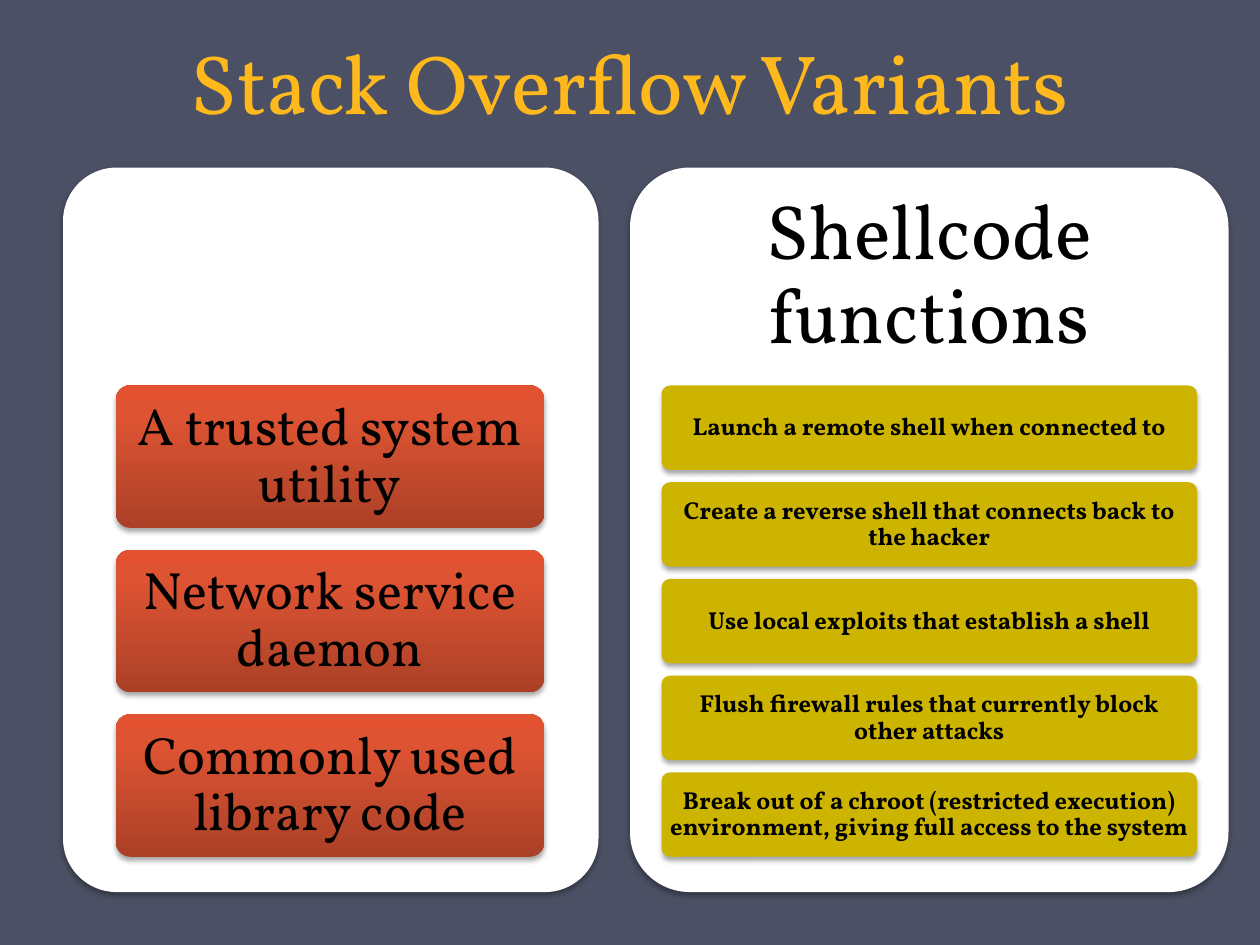
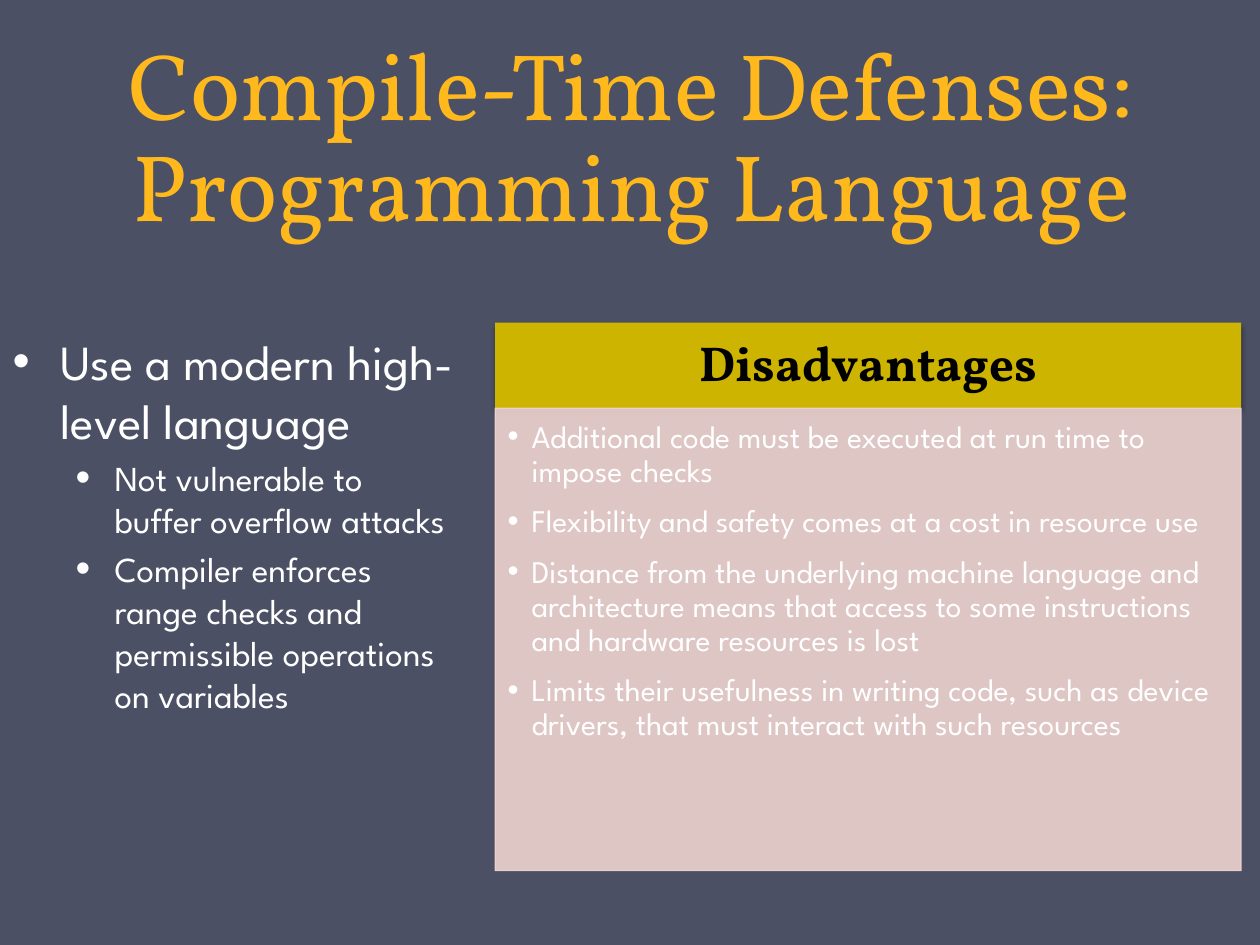
from copy import deepcopy

from lxml import etree
from pptx import Presentation
from pptx.dml.color import RGBColor
from pptx.enum.shapes import MSO_SHAPE as SHAPE
from pptx.enum.text import MSO_ANCHOR as ANCHOR, MSO_AUTO_SIZE as AUTO, PP_ALIGN as ALIGN
from pptx.oxml.ns import qn
from pptx.util import Inches, Pt

COLORS = {
    "background": "4B5064",
    "title": "FFB91D",
    "panel": "FFFFFF",
    "dark": "000000",
    "light": "FFFFFF",
    "olive": "CCB400",
    "pink": "EED3D0",
}
BRICK_STOPS = [(0, "AB4027"), (0.8, "DE5433"), (1, "E35230")]
SERIF, SANS = "Vollkorn", "League Spartan"
STACK_TOP, STACK_BOTTOM = 3.06, 6.8

TARGETS = ["A trusted system utility", "Network service daemon", "Commonly used library code"]
SHELLCODE_FUNCTIONS = [
    "Launch a remote shell when connected to",
    "Create a reverse shell that connects back to the hacker",
    "Use local exploits that establish a shell",
    "Flush firewall rules that currently block other attacks",
    "Break out of a chroot (restricted execution) environment, "
    "giving full access to the system",
]
LANGUAGE_POINTS = [
    (0, "Use a modern high-level language"),
    (1, "Not vulnerable to buffer overflow attacks"),
    (1, "Compiler enforces range checks and permissible operations on variables"),
]
DISADVANTAGES = [
    "Additional code must be executed at run time to impose checks",
    "Flexibility and safety comes at a cost in resource use",
    "Distance from the underlying machine language and architecture means that access "
    "to some instructions and hardware resources is lost",
    "Limits their usefulness in writing code, such as device drivers, "
    "that must interact with such resources",
]


def rgb(name):
    return RGBColor.from_string(COLORS[name])


def add_xml(parent, tag, **attrs):
    return etree.SubElement(parent, qn(tag), {k: str(v) for k, v in attrs.items()})


def place(s, box):
    for name, value in zip(("left", "top", "width", "height"), box):
        setattr(s, name, Inches(value))


def set_frame(s, anchor, insets=None):
    """Wrap the text, anchor it and set its left, top, right and bottom insets."""
    tf = s.text_frame
    tf.word_wrap = True
    tf.auto_size = AUTO.NONE
    tf.vertical_anchor = anchor
    for side, value in zip(("left", "top", "right", "bottom"), insets or ()):
        setattr(tf, f"margin_{side}", Inches(value))
    return tf


def write(p, text, size, font, color, bold=False, **layout):
    p.text = text
    for name, value in layout.items():
        setattr(p, name, value)
    for r in p.runs:
        for name, value in {"size": Pt(size), "name": font, "bold": bold}.items():
            setattr(r.font, name, value)
        r.font.color.rgb = rgb(color)


def add_bullet(p, margin, hang, percent=100):
    pPr = p._p.get_or_add_pPr()
    pPr.set("marL", str(Inches(margin)))
    pPr.set("indent", str(-Inches(hang)))
    add_xml(pPr, "a:buSzPct", val=percent * 1000)
    add_xml(pPr, "a:buFont", typeface="Arial")
    add_xml(pPr, "a:buChar", char="•")


def set_title(slide, text, size, box):
    title = slide.shapes.title
    place(title, box)
    tf = set_frame(title, ANCHOR.BOTTOM)
    write(tf.paragraphs[0], text, size, SERIF, "title",
          alignment=ALIGN.CENTER, line_spacing=Pt(58))


def add_shadow(s):
    effects = s._element.spPr.find(qn("a:effectLst"))
    outer = add_xml(effects, "a:outerShdw", blurRad=Pt(3.1), dist=Pt(1.8),
                    dir=90 * 60000, rotWithShape=0)
    add_xml(add_xml(outer, "a:srgbClr", val="000000"), "a:alpha", val=35000)


def add_box(slide, kind, box, color, shadow=True):
    s = slide.shapes.add_shape(kind, *map(Inches, box))
    s.shadow.inherit = False
    s.line.fill.background()
    s.fill.solid()
    s.fill.fore_color.rgb = rgb(color)
    if kind == SHAPE.ROUNDED_RECTANGLE:
        s.adjustments[0] = 0.1
    if shadow:
        add_shadow(s)
    return s


def shade_brick(s):
    s.fill.gradient()
    s.fill.gradient_angle = 90
    stops = s._element.spPr.find(qn("a:gradFill")).find(qn("a:gsLst"))
    stops.append(deepcopy(stops[-1]))
    for stop, (position, color) in zip(s.fill.gradient_stops, BRICK_STOPS):
        stop.position = position
        stop.color.rgb = RGBColor.from_string(color)


def write_centered(s, text, size, insets, bold=False):
    tf = set_frame(s, ANCHOR.MIDDLE, insets)
    write(tf.paragraphs[0], text, size, SERIF, "dark", bold,
          alignment=ALIGN.CENTER, line_spacing=0.9)


def add_stack(slide, texts, left, width, height, size, insets, bold=False):
    """Spread equal rounded boxes between the shared top and bottom of the stacks."""
    pitch = (STACK_BOTTOM - STACK_TOP - height) / (len(texts) - 1)
    boxes = []
    for i, text in enumerate(texts):
        s = add_box(slide, SHAPE.ROUNDED_RECTANGLE,
                    (left, STACK_TOP + i * pitch, width, height), "olive")
        write_centered(s, text, size, insets, bold)
        boxes.append(s)
    return boxes


def add_panel(slide, left, width):
    add_box(slide, SHAPE.ROUNDED_RECTANGLE, (left, 1.33, width, 5.75), "panel")


def fill_outline(slide, points, box):
    body = slide.placeholders[1]
    place(body, box)
    tf = set_frame(body, ANCHOR.TOP)
    formats = [(28, 0.38, 0.38, 100), (20, 0.81, 0.31, 120)]
    for i, (level, text) in enumerate(points):
        size, margin, hang, percent = formats[level]
        p = tf.add_paragraph() if i else tf.paragraphs[0]
        write(p, text, size, SANS, "light", level=level, space_before=Pt(size * 0.2))
        add_bullet(p, margin, hang, percent)


def add_bullet_box(slide, items, box, color):
    s = add_box(slide, SHAPE.RECTANGLE, box, color, shadow=False)
    s.line.color.rgb = rgb(color)
    s.line.width = Pt(0.75)
    for clr in s._element.spPr.iter(qn("a:srgbClr")):
        add_xml(clr, "a:alpha", val=90000)
    tf = set_frame(s, ANCHOR.TOP, (0.1, 0.1, 0.14, 0.16))
    for i, text in enumerate(items):
        p = tf.add_paragraph() if i else tf.paragraphs[0]
        write(p, text, 18, SANS, "light", level=1, alignment=ALIGN.LEFT,
              line_spacing=0.9, space_after=Pt(9.4))
        add_bullet(p, 0.19, 0.19)


def build_variants(prs):
    slide = prs.slides.add_slide(prs.slide_layouts[5])
    set_title(slide, "Stack Overflow Variants", 48, (0, -0.33, 10, 1.42))
    add_panel(slide, 0.5, 4.25)
    for s in add_stack(slide, TARGETS, 0.92, 3.4, 1.13, 30, (0.08, 0.06, 0.08, 0.06)):
        shade_brick(s)
    add_panel(slide, 5, 4.75)
    heading = slide.shapes.add_textbox(*map(Inches, (5, 1.33, 4.75, 1.73)))
    write_centered(heading, "Shellcode functions", 44, (0.18,) * 4)
    add_stack(slide, SHELLCODE_FUNCTIONS, 5.25, 4.25, 0.67, 14,
              (0.04, 0.03, 0.04, 0.03), bold=True)


def build_language(prs):
    slide = prs.slides.add_slide(prs.slide_layouts[1])
    set_title(slide, "Compile-Time Defenses:\vProgramming Language", 54,
              (0.51, 0.21, 9, 1.75))
    fill_outline(slide, LANGUAGE_POINTS, (0, 2.58, 3.74, 4.6))
    header = add_box(slide, SHAPE.RECTANGLE, (3.93, 2.56, 5.92, 0.68), "olive")
    write_centered(header, "Disadvantages", 28, (0.22, 0.12, 0.22, 0.12), bold=True)
    add_bullet_box(slide, DISADVANTAGES, (3.93, 3.24, 5.92, 3.67), "pink")


def main():
    prs = Presentation()
    prs.slide_width, prs.slide_height = Inches(10), Inches(7.5)
    fill = prs.slide_master.background.fill
    fill.solid()
    fill.fore_color.rgb = rgb("background")
    build_variants(prs)
    build_language(prs)
    prs.save("out.pptx")


if __name__ == "__main__":
    main()
